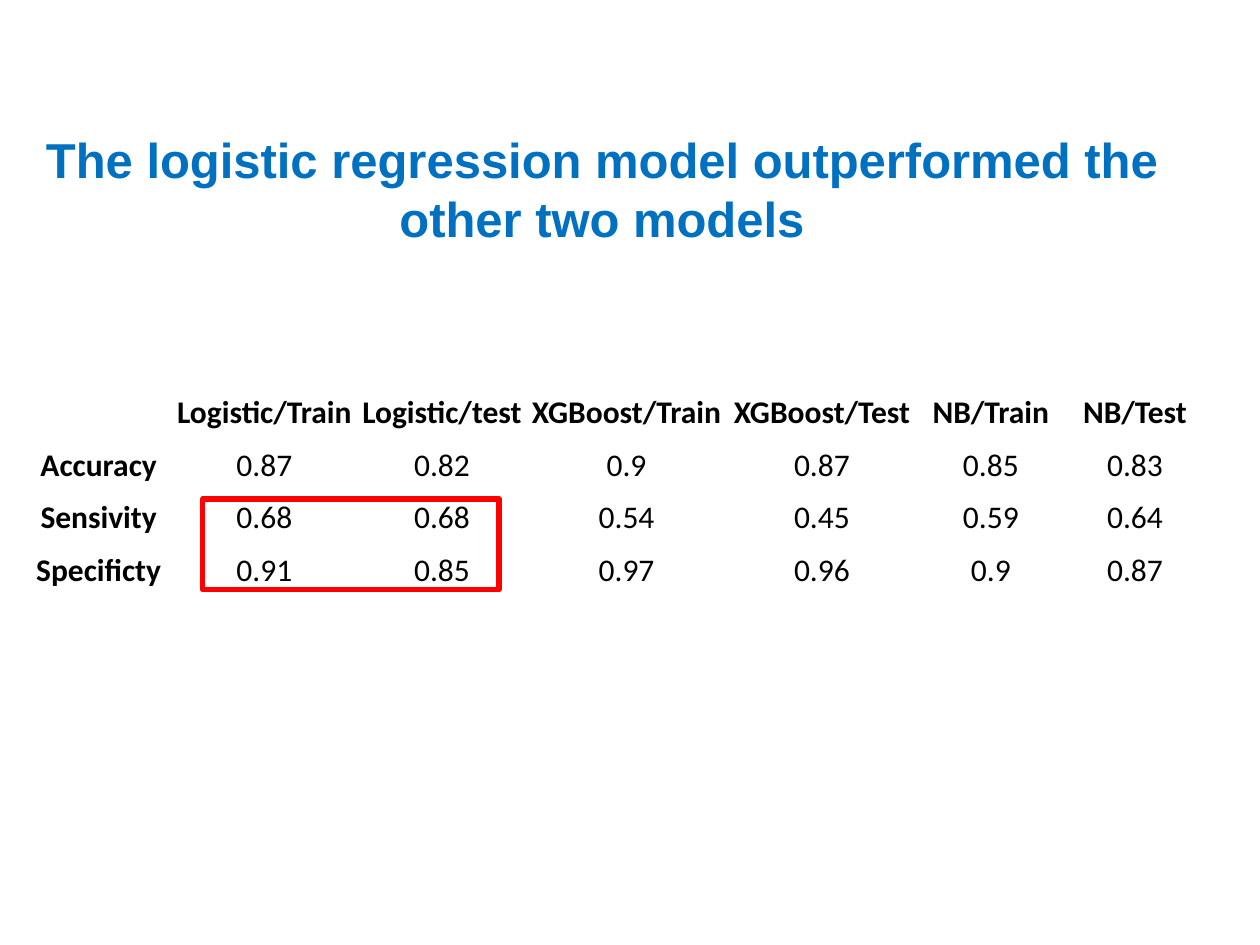
from pptx import Presentation
from pptx.dml.color import RGBColor
from pptx.enum.shapes import MSO_SHAPE
from pptx.enum.text import MSO_ANCHOR, MSO_AUTO_SIZE, PP_ALIGN
from pptx.util import Cm, Pt

CENTER = PP_ALIGN.CENTER
TOP, BOTTOM = MSO_ANCHOR.TOP, MSO_ANCHOR.BOTTOM
RECTANGLE = MSO_SHAPE.RECTANGLE
TITLE_ONLY = 5

COLORS = {"title": "0070C0", "text": "000000", "highlight": "FF0000"}

TITLE = "The logistic regression model outperformed the other two models"
SCORES = [
    ["", "Logistic/Train", "Logistic/test", "XGBoost/Train", "XGBoost/Test", "NB/Train", "NB/Test"],
    ["Accuracy", "0.87", "0.82", "0.9", "0.87", "0.85", "0.83"],
    ["Sensivity", "0.68", "0.68", "0.54", "0.45", "0.59", "0.64"],
    ["Specificty", "0.91", "0.85", "0.97", "0.96", "0.9", "0.87"],
]

# Left, top, width and height in centimetres
TITLE_PLACE = (0.3, 2.49, 23.67, 2.64)
HIGHLIGHT_PLACE = (4.09, 10.06, 5.97, 1.83)
TABLE_CORNER = (0.53, 6.73)
COLUMN_WIDTHS = [2.92, 3.76, 3.4, 4.04, 3.84, 2.97, 2.84]
ROW_HEIGHTS = [1.98, 1.06, 1.06, 1.06]

CELL_FORMAT = {
    "vertical_anchor": BOTTOM,
    "margin_left": Cm(0.03),
    "margin_right": Cm(0.03),
    "margin_top": Cm(0.03),
    "margin_bottom": 0,
}
TITLE_FRAME = {"word_wrap": True, "auto_size": MSO_AUTO_SIZE.NONE, "vertical_anchor": TOP}


def set_all(target, values):
    for name, value in values.items():
        setattr(target, name, value)


def write(frame, text, color, **font_format):
    para = frame.paragraphs[0]
    para.alignment = CENTER
    span = para.add_run()
    span.text = text
    set_all(span.font, font_format)
    span.font.color.rgb = RGBColor.from_string(COLORS[color])


def add_title(page):
    title = page.shapes.title
    sides = ("left", "top", "width", "height")
    set_all(title, dict(zip(sides, map(Cm, TITLE_PLACE))))
    set_all(title.text_frame, TITLE_FRAME)
    write(title.text_frame, TITLE, "title", name="Arial", size=Pt(28), bold=True)


def add_scores(page):
    place = (*TABLE_CORNER, sum(COLUMN_WIDTHS), sum(ROW_HEIGHTS))
    table = page.shapes.add_table(len(SCORES), len(SCORES[0]), *map(Cm, place)).table
    set_all(table, {"first_row": False, "horz_banding": False})
    for column, width in zip(table.columns, COLUMN_WIDTHS):
        column.width = Cm(width)
    for row, height in zip(table.rows, ROW_HEIGHTS):
        row.height = Cm(height)
    for r, values in enumerate(SCORES):
        for c, value in enumerate(values):
            cell = table.cell(r, c)
            cell.fill.background()
            set_all(cell, CELL_FORMAT)
            if value:
                write(cell.text_frame, value, "text",
                      name="Calibri", size=Pt(18), bold=r == 0 or c == 0)


def add_highlight(page):
    box = page.shapes.add_shape(RECTANGLE, *map(Cm, HIGHLIGHT_PLACE))
    box.shadow.inherit = False
    box.fill.background()
    box.line.color.rgb = RGBColor.from_string(COLORS["highlight"])
    box.line.width = Pt(3)


def main():
    deck = Presentation()
    set_all(deck, {"slide_width": Cm(25.4), "slide_height": Cm(19.05)})
    page = deck.slides.add_slide(deck.slide_layouts[TITLE_ONLY])
    add_title(page)
    add_scores(page)
    add_highlight(page)
    deck.save("out.pptx")


if __name__ == "__main__":
    main()
